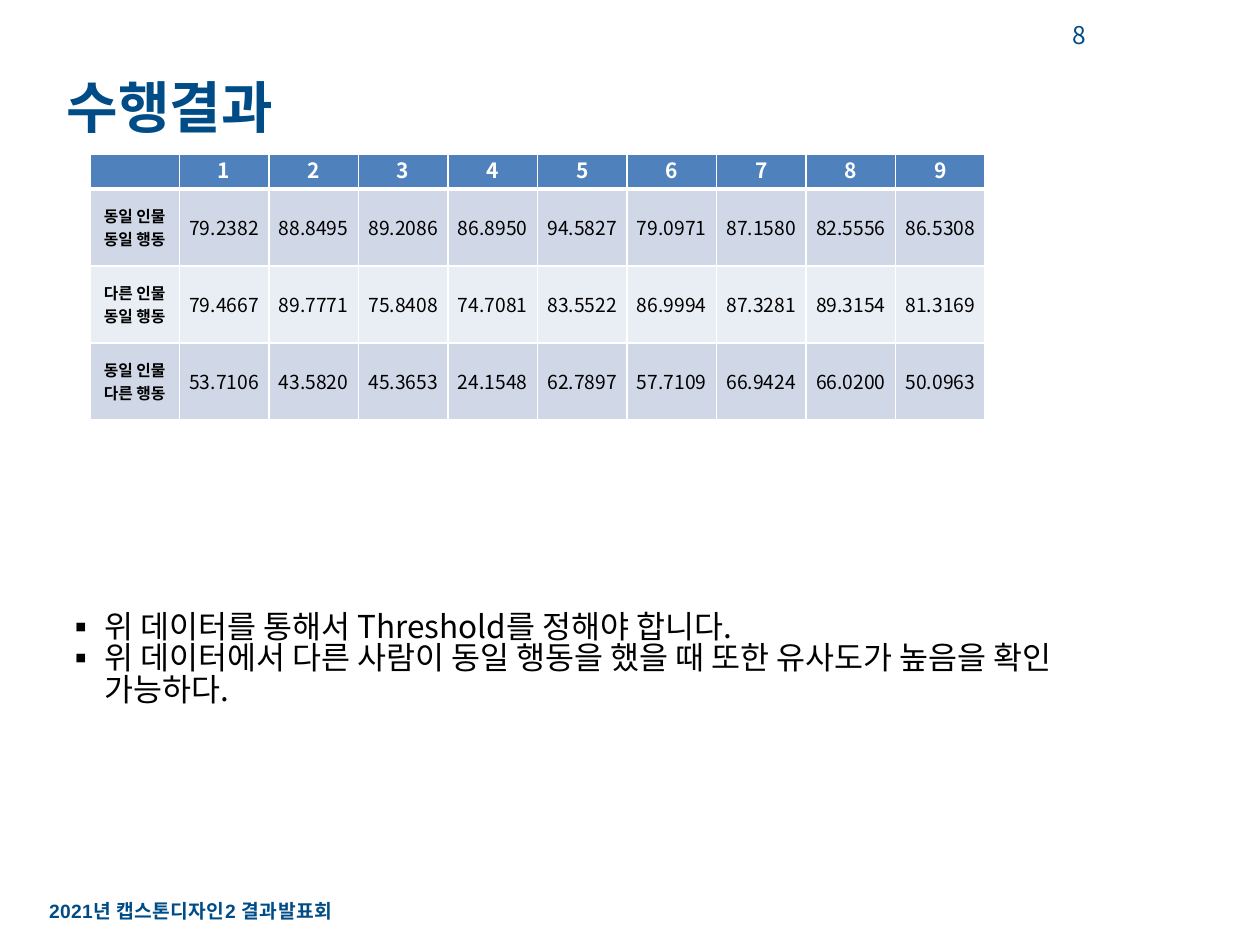
"""Build the results slide: a similarity table with two conclusions."""
from dataclasses import dataclass

from lxml import etree
from pptx import Presentation
from pptx import util as u
from pptx.dml import color
from pptx.enum import text
from pptx.oxml import ns

FONT = "Noto Sans CJK KR"
NAVY, BLACK, WHITE = "004C86", "000000", "FFFFFF"
HEADER_FILL, BANDS = "4F81BD", ("D0D8E8", "E9EDF4")
CENTER = text.PP_ALIGN.CENTER
MIDDLE = text.MSO_ANCHOR.MIDDLE
TIGHT = 0.83


@dataclass(frozen=True)
class Style:
    size: float
    hue: str
    bold: bool = False
    font: str = FONT


@dataclass(frozen=True)
class Frame:
    left: float
    top: float
    width: float
    height: float

    def lengths(self) -> tuple:
        return tuple(u.Cm(v) for v in (self.left, self.top, self.width, self.height))


@dataclass(frozen=True)
class Result:
    person: str
    action: str
    scores: str


TITLE = Style(32, NAVY, True)
NUMBER = Style(14, NAVY)
FOOTER = Style(11, NAVY, True, "Arial")
BULLET = Style(18, BLACK)
HEADER = Style(12, WHITE, True)
LABEL = Style(9, BLACK, True)
SCORE = Style(11, BLACK)

RESULTS = [
    Result("동일 인물", "동일 행동",
           "79.2382 88.8495 89.2086 86.8950 94.5827 79.0971 87.1580 82.5556 86.5308"),
    Result("다른 인물", "동일 행동",
           "79.4667 89.7771 75.8408 74.7081 83.5522 86.9994 87.3281 89.3154 81.3169"),
    Result("동일 인물", "다른 행동",
           "53.7106 43.5820 45.3653 24.1548 62.7897 57.7109 66.9424 66.0200 50.0963"),
]
CONCLUSIONS = [
    "위 데이터를 통해서 Threshold를 정해야 합니다.",
    "위 데이터에서 다른 사람이 동일 행동을 했을 때 또한 유사도가 높음을 확인 가능하다.",
]


def rgb(value: str) -> color.RGBColor:
    return color.RGBColor.from_string(value)


def add_span(para, words: str, style: Style):
    span = para.add_run()
    span.text = words
    span.font.size = u.Pt(style.size)
    span.font.bold = style.bold
    span.font.name = style.font
    span.font.color.rgb = rgb(style.hue)
    etree.SubElement(span.font._element, ns.qn("a:ea"), typeface=FONT)
    return span


def write_lines(body, lines: list[str], style: Style, align=None, spacing=None) -> None:
    for index, line in enumerate(lines):
        para = body.add_paragraph() if index else body.paragraphs[0]
        para.alignment = align
        para.line_spacing = spacing
        add_span(para, line, style)


def add_text(page, frame: Frame, lines: list[str], style: Style, align=None, spacing=None):
    box = page.shapes.add_textbox(*frame.lengths())
    box.text_frame.word_wrap = True
    write_lines(box.text_frame, lines, style, align, spacing)
    return box


def add_bullet(para) -> None:
    props = para._p.get_or_add_pPr()
    props.set("marL", str(u.Cm(0.79)))
    props.set("indent", str(-u.Cm(0.79)))
    etree.SubElement(props, ns.qn("a:buFont"), typeface=FONT)
    etree.SubElement(props, ns.qn("a:buChar"), char="▪")


def add_borders(cell, top: float, bottom: float) -> None:
    props = cell._tc.get_or_add_tcPr()
    widths = {"lnL": 1, "lnR": 1, "lnT": top, "lnB": bottom}
    for index, (side, width) in enumerate(widths.items()):
        line = etree.Element(ns.qn(f"a:{side}"), w=str(u.Pt(width)))
        fill = etree.SubElement(line, ns.qn("a:solidFill"))
        etree.SubElement(fill, ns.qn("a:srgbClr"), val=WHITE)
        props.insert(index, line)


def fill_cell(cell, row: int, lines: list[str], style: Style) -> None:
    cell.fill.solid()
    cell.fill.fore_color.rgb = rgb(BANDS[(row - 1) % 2] if row else HEADER_FILL)
    cell.vertical_anchor = MIDDLE
    cell.margin_left = cell.margin_right = u.Cm(0.2)
    cell.margin_top = cell.margin_bottom = u.Cm(0.1)
    add_borders(cell, top=3 if row == 1 else 1, bottom=1 if row else 3)
    if lines:
        write_lines(cell.text_frame, lines, style, CENTER, None if row else TIGHT)
    else:
        cell.text_frame.paragraphs[0].font.size = u.Pt(style.size)
        cell.text_frame.paragraphs[0].line_spacing = TIGHT


def add_results(page, frame: Frame, header_height: float) -> None:
    columns = len(RESULTS[0].scores.split()) + 1
    table = page.shapes.add_table(len(RESULTS) + 1, columns, *frame.lengths()).table
    for column in table.columns:
        column.width = u.Cm(frame.width / columns)
    for index, row in enumerate(table.rows):
        body_height = (frame.height - header_height) / len(RESULTS)
        row.height = u.Cm(body_height if index else header_height)
    for column in range(columns):
        fill_cell(table.cell(0, column), 0, [str(column)] if column else [], HEADER)
    for row, result in enumerate(RESULTS, 1):
        fill_cell(table.cell(row, 0), row, [result.person, result.action], LABEL)
        for column, score in enumerate(result.scores.split(), 1):
            fill_cell(table.cell(row, column), row, [score], SCORE)


def set_title(page, frame: Frame, words: str) -> None:
    title = page.shapes.title
    title.left, title.top, title.width, title.height = frame.lengths()
    title.text_frame.auto_size = text.MSO_AUTO_SIZE.NONE
    title.text_frame.vertical_anchor = MIDDLE
    write_lines(title.text_frame, [words], TITLE, text.PP_ALIGN.LEFT)


def main() -> None:
    deck = Presentation()
    deck.slide_width, deck.slide_height = u.Cm(25.4), u.Cm(19.05)
    page = deck.slides.add_slide(deck.slide_layouts[5])

    footer = add_text(page, Frame(0.74, 18.01, 7.29, 0.74),
                      ["2021년 캡스톤디자인2 결과발표회"], FOOTER)
    footer.text_frame.paragraphs[0].runs[0].font._element.set("spc", "20")
    set_title(page, Frame(1.09, 1.37, 23.39, 1.55), "수행결과")
    number = add_text(page, Frame(20.7, 0.2, 2.11, 1.02), ["8"], NUMBER, CENTER)
    number.text_frame.vertical_anchor = MIDDLE
    conclusions = add_text(page, Frame(1.07, 12.24, 21.79, 2.57),
                           CONCLUSIONS, BULLET, spacing=TIGHT)
    for para in conclusions.text_frame.paragraphs:
        add_bullet(para)
    add_results(page, Frame(1.81, 3.1, 18.05, 5.36), header_height=0.71)
    deck.save("out.pptx")


if __name__ == "__main__":
    main()
